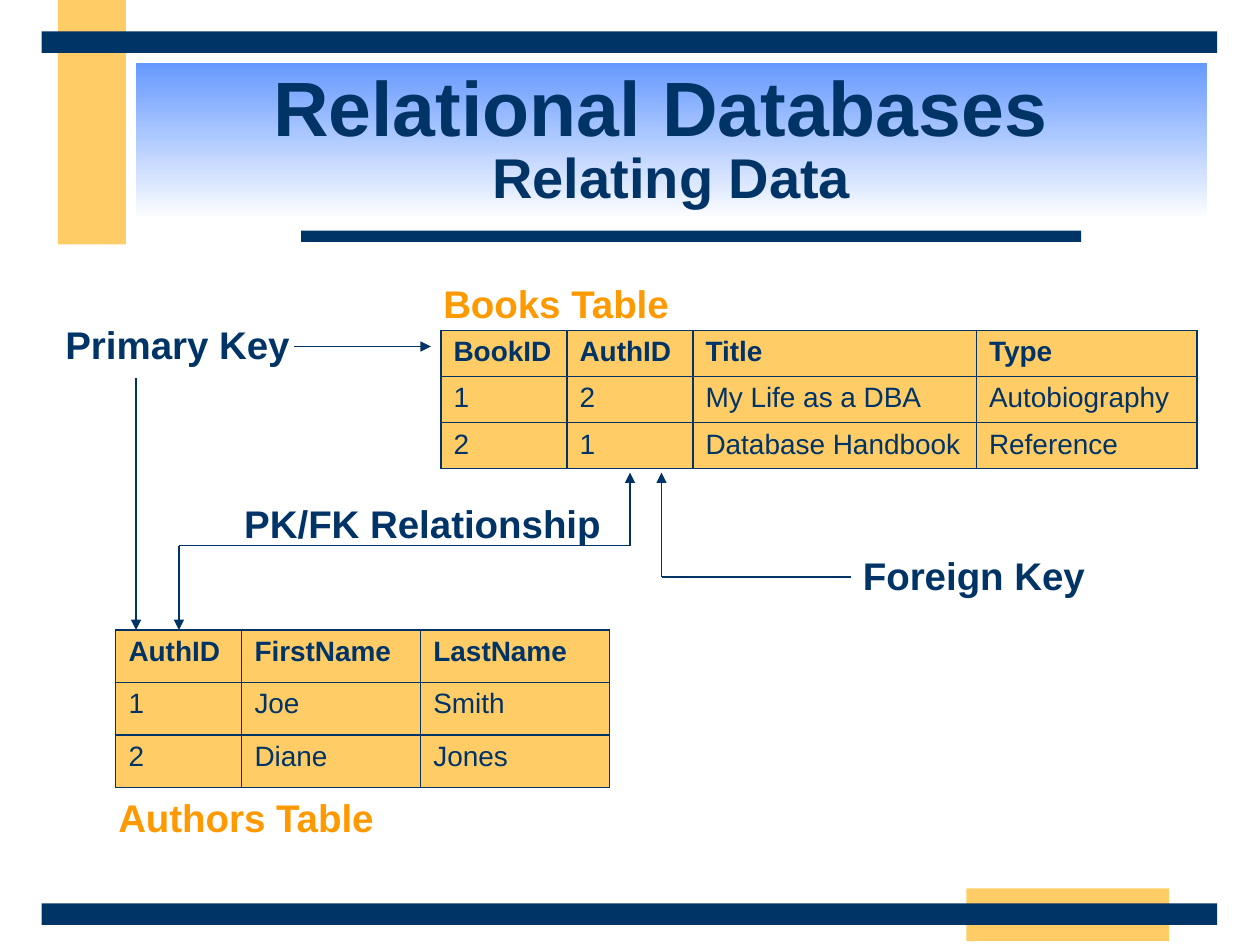
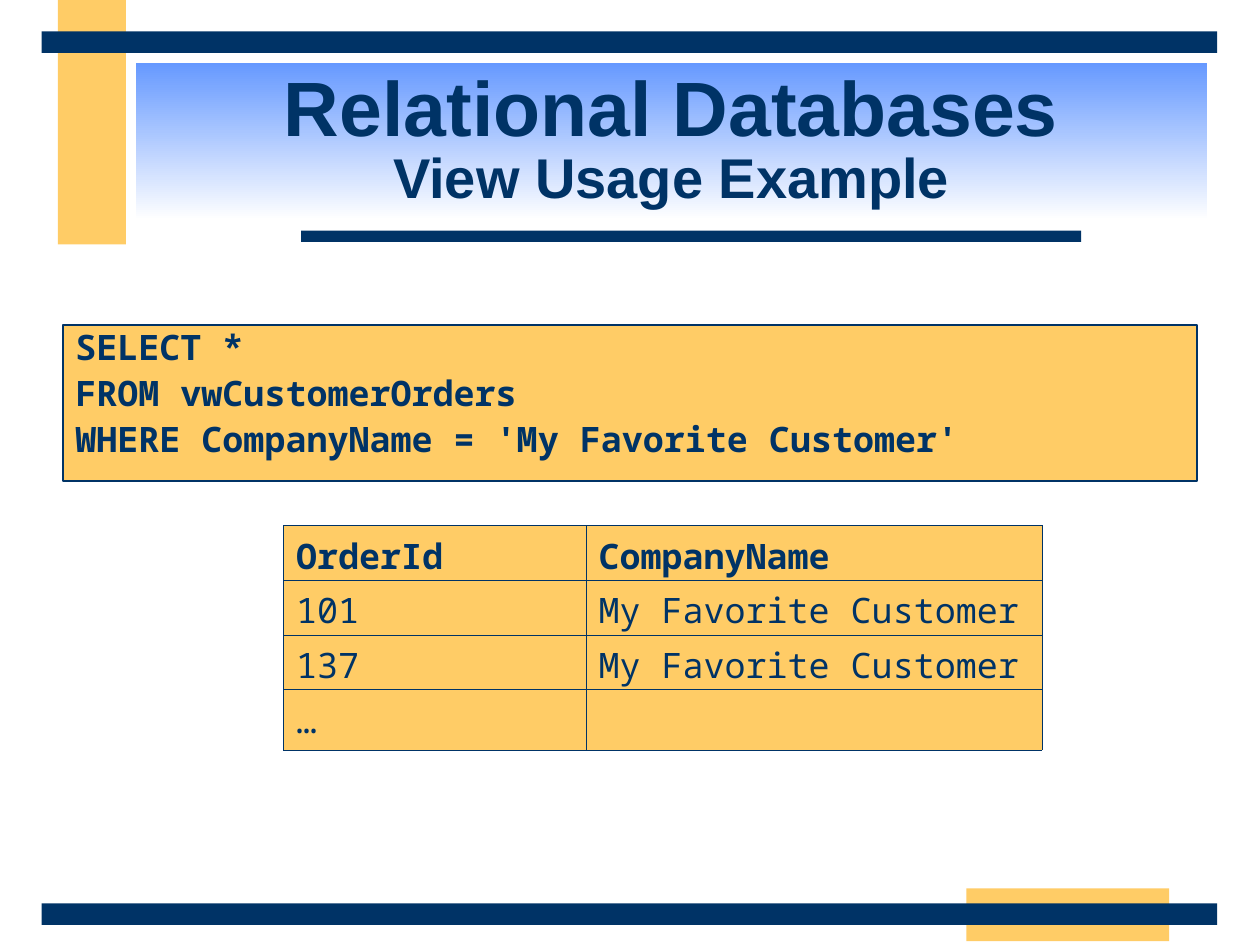
"""Build two slides on relational databases: related tables and a view query."""
from dataclasses import dataclass

from lxml import etree
from pptx import Presentation
from pptx.dml.color import RGBColor
from pptx.enum.shapes import MSO_CONNECTOR, MSO_SHAPE
from pptx.enum.text import MSO_ANCHOR, PP_ALIGN
from pptx.oxml.ns import qn
from pptx.util import Inches, Pt

RECTANGLE = MSO_SHAPE.RECTANGLE
STRAIGHT = MSO_CONNECTOR.STRAIGHT
TOP, MIDDLE = MSO_ANCHOR.TOP, MSO_ANCHOR.MIDDLE
LEFT, CENTER = PP_ALIGN.LEFT, PP_ALIGN.CENTER


@dataclass(frozen=True)
class Theme:
    navy: RGBColor = RGBColor.from_string("003366")
    gold: RGBColor = RGBColor.from_string("FFCC66")
    orange: RGBColor = RGBColor.from_string("FF9900")
    blue: RGBColor = RGBColor.from_string("6699FF")
    white: RGBColor = RGBColor.from_string("FFFFFF")
    sans: str = "Arial"
    mono: str = "Noto Sans Mono"
    title: Pt = Pt(44)
    subtitle: Pt = Pt(32)
    label: Pt = Pt(22)
    code: Pt = Pt(20)
    cell: Pt = Pt(16)
    line: Pt = Pt(1)


THEME = Theme()


def style_paragraph(paragraph, size, color=THEME.navy, name=THEME.sans, bold=True):
    paragraph.font.size = size
    paragraph.font.color.rgb = color
    paragraph.font.name = name
    paragraph.font.bold = bold
    if name == THEME.mono:
        paragraph.line_spacing = 0.88


def add_rectangle(slide, left, top, width, height, color):
    shape = slide.shapes.add_shape(
        RECTANGLE, Inches(left), Inches(top), Inches(width), Inches(height))
    shape.shadow.inherit = False
    shape.fill.solid()
    shape.fill.fore_color.rgb = color
    shape.line.fill.background()
    return shape


presentation = Presentation()
presentation.slide_width, presentation.slide_height = Inches(10), Inches(7.5)
blank_layout = presentation.slide_layouts[6]

bands = [
    (0.46, 0, 0.54, 1.94, THEME.gold),
    (7.67, 7.05, 1.61, 0.42, THEME.gold),
    (2.39, 1.83, 6.19, 0.09, THEME.navy),
    (0.33, 7.17, 9.33, 0.17, THEME.navy),
    (0.33, 0.25, 9.33, 0.17, THEME.navy),
]
titles = [
    ("Relational Databases ", "Relating Data"),
    ("Relational Databases", "View Usage Example"),
]
for heading, subheading in titles:
    slide = presentation.slides.add_slide(blank_layout)
    for band in bands:
        add_rectangle(slide, *band)
    title = add_rectangle(slide, 1.08, 0.5, 8.5, 1.25, THEME.white)
    title.fill.gradient()
    title.fill.gradient_angle = 270
    for stop, color in zip(title.fill.gradient_stops, (THEME.blue, THEME.white)):
        stop.color.rgb = color
    for position, stop in enumerate(title.fill.gradient_stops):
        stop.position = position
    title.text_frame.word_wrap = True
    title.text_frame.vertical_anchor = MIDDLE
    paragraph = title.text_frame.paragraphs[0]
    style_paragraph(paragraph, THEME.title)
    paragraph.alignment = CENTER
    paragraph.line_spacing = 0.85
    heading_run = paragraph.add_run()
    heading_run.text = heading
    heading_run.font.size = THEME.title
    paragraph.add_line_break()
    subheading_run = paragraph.add_run()
    subheading_run.text = subheading
    subheading_run.font.size = THEME.subtitle

relating_slide, view_slide = presentation.slides

labels = [
    ("Primary Key", 0.42, 2.5, 2.05, THEME.navy),
    ("Foreign Key", 6.75, 4.33, 2.25, THEME.navy),
    ("Books Table", 3.42, 2.17, 2.1, THEME.orange),
    ("Authors Table", 0.84, 6.25, 2.35, THEME.orange),
    ("PK/FK Relationship", 1.84, 3.92, 3.1, THEME.navy),
]
for text, left, top, width, color in labels:
    label = relating_slide.shapes.add_textbox(
        Inches(left), Inches(top), Inches(width), Inches(0.47))
    label.text_frame.word_wrap = True
    paragraph = label.text_frame.paragraphs[0]
    paragraph.text = text
    style_paragraph(paragraph, THEME.label, color)

key_lines = [
    (5, 4.33, 5, 3.75, True),
    (5, 4.33, 1.42, 4.33, False),
    (1.42, 4.33, 1.42, 5, True),
    (2.33, 2.75, 3.42, 2.75, True),
    (1.08, 3, 1.08, 5, True),
    (6.75, 4.58, 5.25, 4.58, False),
    (5.25, 4.58, 5.25, 3.75, True),
]
for *ends, has_arrow in key_lines:
    connector = relating_slide.shapes.add_connector(STRAIGHT, *map(Inches, ends))
    connector.line.color.rgb = THEME.navy
    connector.line.width = THEME.line
    if has_arrow:
        etree.SubElement(connector.line._get_or_add_ln(), qn("a:tailEnd"), type="triangle")
    etree.SubElement(connector._element.spPr, qn("a:effectLst"))

query = add_rectangle(view_slide, 0.5, 2.58, 9, 1.24, THEME.gold)
query.line.color.rgb = THEME.navy
query.line.width = THEME.line
query.text_frame.word_wrap = True
query.text_frame.vertical_anchor = TOP
query.text_frame.text = (
    "SELECT *\nFROM vwCustomerOrders\nWHERE CompanyName = 'My Favorite Customer'")
for paragraph in query.text_frame.paragraphs:
    style_paragraph(paragraph, THEME.code, name=THEME.mono)
    paragraph.alignment = LEFT
    paragraph.space_before = Pt(5)

authors = [
    ("AuthID", "FirstName", "LastName"),
    ("1", "Joe", "Smith"),
    ("2", "Diane", "Jones"),
]
books = [
    ("BookID", "AuthID", "Title", "Type"),
    ("1", "2", "My Life as a DBA", "Autobiography"),
    ("2", "1", "Database Handbook", "Reference"),
]
orders = [
    ("OrderId", "CompanyName"),
    ("101", "My Favorite Customer"),
    ("137", "My Favorite Customer"),
    ("…", ""),
]
tables = [
    (relating_slide, authors, 0.92, 5, 1.25, (1, 1.42, 1.5), THEME.cell, THEME.sans, 0.75),
    (relating_slide, books, 3.5, 2.62, 1.1, (1, 1, 2.25, 1.75), THEME.cell, THEME.sans, 0.75),
    (view_slide, orders, 2.25, 4.17, 1.73, (2.4, 3.62), THEME.code, THEME.mono, 0.45),
]
for slide, rows, left, top, height, widths, size, name, border in tables:
    table = slide.shapes.add_table(
        len(rows), len(widths), Inches(left), Inches(top),
        Inches(sum(widths)), Inches(height)).table
    table.first_row = table.horz_banding = False
    for column, width in zip(table.columns, widths):
        column.width = Inches(width)
    for row_index, row in enumerate(rows):
        for column_index, text in enumerate(row):
            cell = table.cell(row_index, column_index)
            if name == THEME.mono:
                cell.margin_top, cell.margin_bottom = Inches(0.08), Inches(0.02)
            properties = cell._tc.get_or_add_tcPr()
            for side in ("a:lnL", "a:lnR", "a:lnT", "a:lnB"):
                edge = etree.SubElement(properties, qn(side), w=str(Pt(border)))
                edge_fill = etree.SubElement(edge, qn("a:solidFill"))
                etree.SubElement(edge_fill, qn("a:srgbClr"), val=str(THEME.navy))
            cell.fill.solid()
            cell.fill.fore_color.rgb = THEME.gold
            paragraph = cell.text_frame.paragraphs[0]
            paragraph.text = text
            style_paragraph(paragraph, size, name=name, bold=row_index == 0)

presentation.save("out.pptx")
